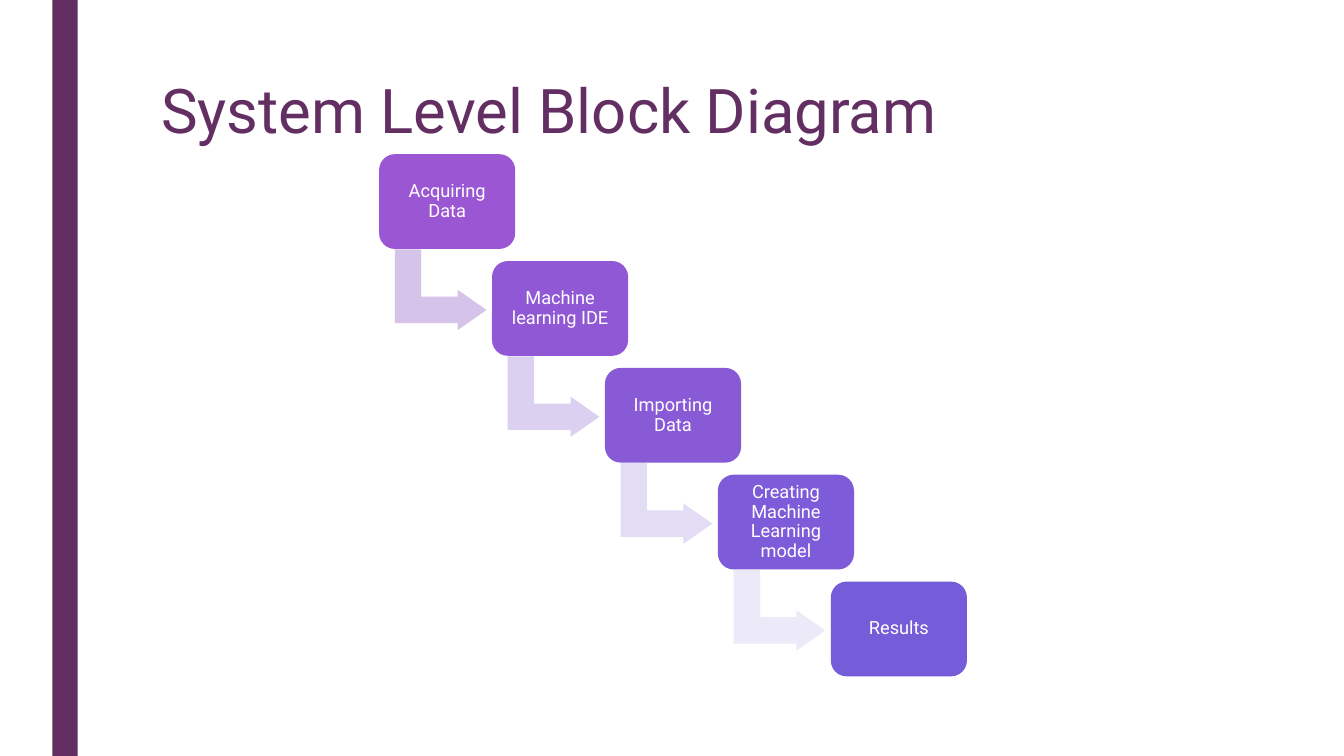
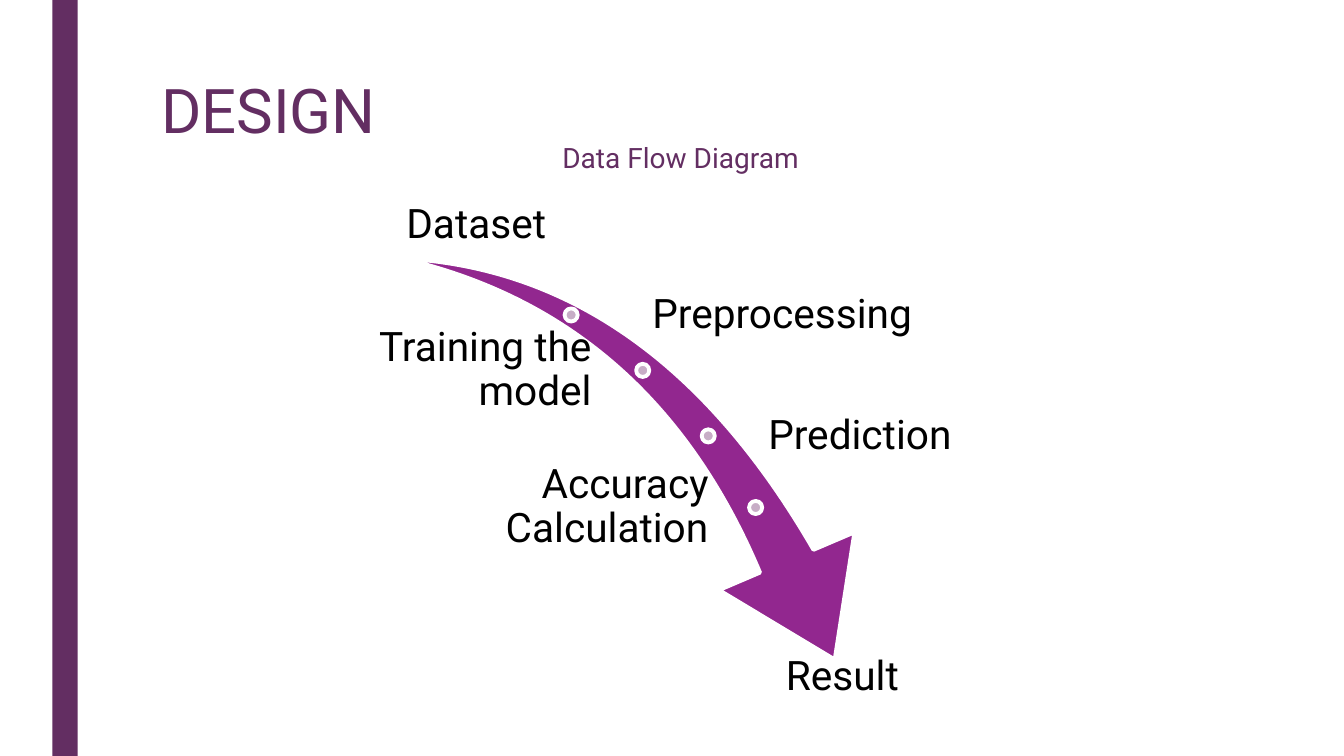
from pptx import Presentation
from pptx.dml.color import RGBColor
from pptx.enum.shapes import MSO_SHAPE
from pptx.enum.text import MSO_ANCHOR, MSO_AUTO_SIZE, PP_ALIGN
from pptx.util import Inches, Pt

FONT = "Roboto"
COLORS = {"plum": "632E62", "swoosh": "92278F", "dot": "C7ADC6",
          "white": "FFFFFF", "black": "000000"}
LEFT, CENTER, RIGHT = PP_ALIGN.LEFT, PP_ALIGN.CENTER, PP_ALIGN.RIGHT
TOP, MIDDLE, BOTTOM = MSO_ANCHOR.TOP, MSO_ANCHOR.MIDDLE, MSO_ANCHOR.BOTTOM

WIDTH, HEIGHT = 13.33, 7.5
BAND = (0.52, 0, 0.25, HEIGHT)
TITLE = (1.5, 0.75, 10.5, 1.62)
SUBTITLE = (1.5, 1.38, 10.5, 1.62)
HEADING = (1.5, 0.75, 10.5, 0.81)

STEPS = [
    ("Acquiring Data", "9B57D3", "D5C3EA"),
    ("Machine learning IDE", "9158D5", "DBD0EF"),
    ("Importing Data", "885AD6", "E2DDF4"),
    ("Creating Machine Learning model", "7E5BD8", "ECEAF8"),
    ("Results", "755DD9", None),
]
STEP_ORIGIN, STEP_PITCH, STEP_SIZE = (3.76, 1.53), (1.12, 1.06), (1.35, 0.94)
TURN_OFFSET, TURN_SIZE = (0.21, 0.89), (0.8, 0.91)

SWOOSH = (3.88, 2.72, 5.04, 3.51)
DOTS = [(5.6, 3.06), (6.31, 3.61), (6.96, 4.26), (7.43, 4.97)]
DOT_SIZE = 0.13
LABEL_HEIGHT = 0.93
LABELS = [
    ("Dataset", 3.54, 1.56, 2.37, CENTER, BOTTOM),
    ("Preprocessing", 6.43, 2.66, 3.53, LEFT, MIDDLE),
    ("Training the model", 3.54, 3.21, 2.37, RIGHT, MIDDLE),
    ("Prediction", 7.58, 3.86, 2.37, LEFT, MIDDLE),
    ("Accuracy Calculation", 3.54, 4.57, 3.53, RIGHT, MIDDLE),
    ("Result", 6.75, 6.46, 3.21, CENTER, TOP),
]


def rgb(color):
    return RGBColor.from_string(COLORS.get(color, color))


def place(sp, box):
    for name, value in zip(("left", "top", "width", "height"), box):
        setattr(sp, name, Inches(value))


def write(sp, text, size, color, align=LEFT, anchor=TOP, inset=None, spacing=0.9):
    tf = sp.text_frame
    frame = {"word_wrap": True, "auto_size": MSO_AUTO_SIZE.NONE,
             "vertical_anchor": anchor}
    if inset is not None:
        for side in ("left", "top", "right", "bottom"):
            frame["margin_" + side] = Inches(inset)
    for name, value in frame.items():
        setattr(tf, name, value)
    p = tf.paragraphs[0]
    p.alignment, p.line_spacing = align, spacing
    r = p.add_run()
    r.text = text
    for name, value in {"name": FONT, "size": Pt(size)}.items():
        setattr(r.font, name, value)
    r.font.color.rgb = rgb(color)


def add_shape(s, kind, box, fill, line=None, adjustments=(), rotation=0):
    sp = s.shapes.add_shape(kind, *map(Inches, box))
    sp.shadow.inherit = False
    sp.fill.solid()
    sp.fill.fore_color.rgb = rgb(fill)
    if line:
        sp.line.color.rgb = rgb(line)
        sp.line.width = Pt(2.75)
    else:
        sp.line.fill.background()
    for i, value in enumerate(adjustments):
        sp.adjustments[i] = value
    sp.rotation = rotation
    return sp


def add_text(s, box, text, size, color, **style):
    write(s.shapes.add_textbox(*map(Inches, box)), text, size, color, **style)


def add_slide(title, box, size, align=LEFT):
    s = prs.slides.add_slide(layout)
    place(s.shapes.title, box)
    write(s.shapes.title, title, size, "plum", align=align, spacing=0.89)
    return s


prs = Presentation()
prs.slide_width, prs.slide_height = Inches(WIDTH), Inches(HEIGHT)
layout = prs.slide_layouts[5]

s = add_slide("System Level Block Diagram", TITLE, 44)
band = add_shape(s, MSO_SHAPE.RECTANGLE, BAND, "plum")
layout.shapes.element.append(band.element)

for i, (text, fill, turn_fill) in enumerate(STEPS):
    x, y = (start + i * pitch for start, pitch in zip(STEP_ORIGIN, STEP_PITCH))
    if turn_fill:
        add_shape(s, MSO_SHAPE.BENT_UP_ARROW,
                  (x + TURN_OFFSET[0], y + TURN_OFFSET[1], *TURN_SIZE),
                  turn_fill, adjustments=(0.328, 0.25, 0.358), rotation=90)
    step = add_shape(s, MSO_SHAPE.ROUNDED_RECTANGLE, (x, y, *STEP_SIZE), fill,
                     adjustments=(0.167,))
    write(step, text, 13, "white", align=CENTER, anchor=MIDDLE, inset=0.05)

s = add_slide("Data Flow Diagram", SUBTITLE, 20, CENTER)
add_shape(s, MSO_SHAPE.SWOOSH_ARROW, SWOOSH, "swoosh", "white", (0.163, 0.314), 73.3)
for x, y in DOTS:
    add_shape(s, MSO_SHAPE.OVAL, (x, y, DOT_SIZE, DOT_SIZE), "dot", "white")
for text, x, y, width, align, anchor in LABELS:
    add_text(s, (x, y, width, LABEL_HEIGHT), text, 29, "black",
             align=align, anchor=anchor, inset=0.04)
add_text(s, HEADING, "DESIGN", 44, "plum", spacing=0.89)

prs.save("out.pptx")
